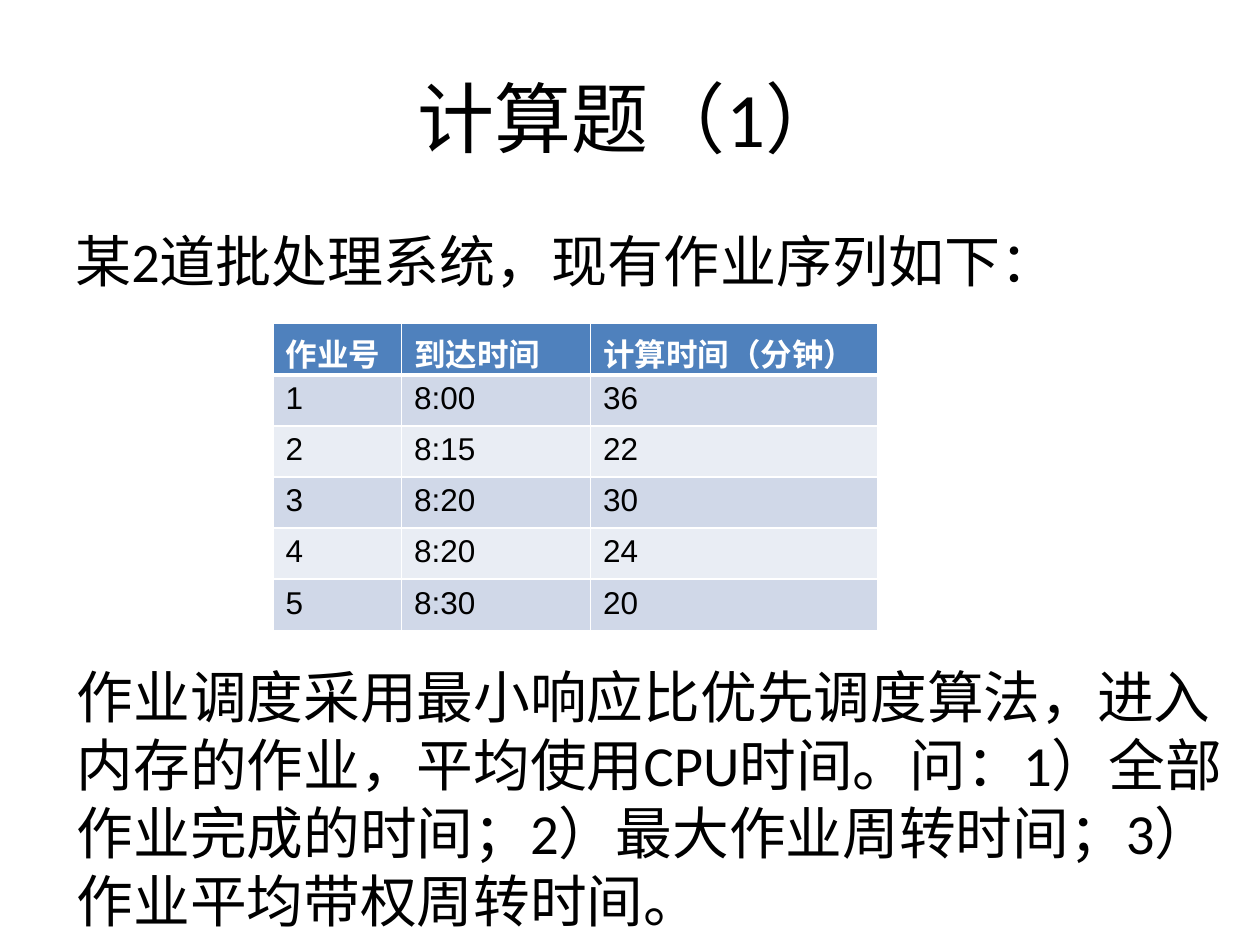
from dataclasses import dataclass

from lxml import etree
from pptx import Presentation
from pptx.dml.color import RGBColor
from pptx.enum.text import MSO_ANCHOR, PP_ALIGN
from pptx.oxml.ns import qn
from pptx.util import Pt

LEFT, CENTER = PP_ALIGN.LEFT, PP_ALIGN.CENTER
TOP, MIDDLE = MSO_ANCHOR.TOP, MSO_ANCHOR.MIDDLE


@dataclass(frozen=True)
class Theme:
    text_font: str = "Calibri"
    table_font: str = "Arial"
    title_size: float = 44
    intro_size: float = 32
    question_size: float = 32.4
    table_size: float = 18
    ink: str = "000000"
    white: str = "FFFFFF"
    header_fill: str = "4F81BD"
    band_fills: tuple = ("D0D8E8", "E9EDF4")
    grid_width: float = 1
    header_rule_width: float = 3


class SlideBuilder:
    def __init__(self, slide, theme):
        self.slide = slide
        self.theme = theme

    def style(self, paragraph, color, **formats):
        for name, value in formats.items():
            setattr(paragraph.font, name, value)
        paragraph.font.color.rgb = RGBColor.from_string(color)

    def text(self, wording, box, size, align=LEFT, anchor=TOP):
        frame = self.slide.shapes.add_textbox(*map(Pt, box)).text_frame
        frame.word_wrap = True
        frame.vertical_anchor = anchor
        paragraph = frame.paragraphs[0]
        paragraph.text = wording
        paragraph.alignment = align
        self.style(paragraph, self.theme.ink, name=self.theme.text_font, size=Pt(size))

    def borders(self, cell, widths):
        properties = cell._tc.get_or_add_tcPr()
        for side, width in widths.items():
            line = etree.SubElement(properties, qn(f"a:ln{side}"), w=str(Pt(width)))
            fill = etree.SubElement(line, qn("a:solidFill"))
            etree.SubElement(fill, qn("a:srgbClr"), val=self.theme.white)

    def table(self, rows, left, top, column_widths, row_height):
        theme = self.theme
        table = self.slide.shapes.add_table(
            len(rows), len(column_widths), Pt(left), Pt(top),
            Pt(sum(column_widths)), Pt(row_height * len(rows))).table
        for column, width in zip(table.columns, column_widths):
            column.width = Pt(width)
        for r, values in enumerate(rows):
            header = r == 0
            fill = theme.header_fill if header else theme.band_fills[(r - 1) % 2]
            widths = dict.fromkeys("LRTB", theme.grid_width)
            # The heavier rule is shared by the header and the first job
            if r < 2:
                widths["B" if header else "T"] = theme.header_rule_width
            for c, value in enumerate(values):
                cell = table.cell(r, c)
                cell.text = value
                self.borders(cell, widths)
                cell.fill.solid()
                cell.fill.fore_color.rgb = RGBColor.from_string(fill)
                self.style(cell.text_frame.paragraphs[0],
                           theme.white if header else theme.ink,
                           name=theme.table_font, size=Pt(theme.table_size), bold=header)


def main():
    presentation = Presentation()
    presentation.slide_width, presentation.slide_height = Pt(720), Pt(540)
    theme = Theme()
    builder = SlideBuilder(
        presentation.slides.add_slide(presentation.slide_layouts[6]), theme)

    # Title
    builder.text("计算题（1）", (36, 21.6, 648, 90), theme.title_size, CENTER, MIDDLE)

    # Introduction
    builder.text("某2道批处理系统，现有作业序列如下：", (36, 126, 648, 53.3),
                 theme.intro_size)

    # Job sequence
    jobs = [
        ("作业号", "到达时间", "计算时间（分钟）"),
        ("1", "8:00", "36"),
        ("2", "8:15", "22"),
        ("3", "8:20", "30"),
        ("4", "8:20", "24"),
        ("5", "8:30", "20"),
    ]
    builder.table(jobs, 156, 185, (73.5, 108, 164), 29.2)

    # Questions
    builder.text(
        "作业调度采用最小响应比优先调度算法，进入内存的作业，平均使用CPU时间。"
        "问：1）全部作业完成的时间；2）最大作业周转时间；3）作业平均带权周转时间。",
        (36.7, 374.4, 669, 144.7), theme.question_size)

    presentation.save("out.pptx")


if __name__ == "__main__":
    main()
